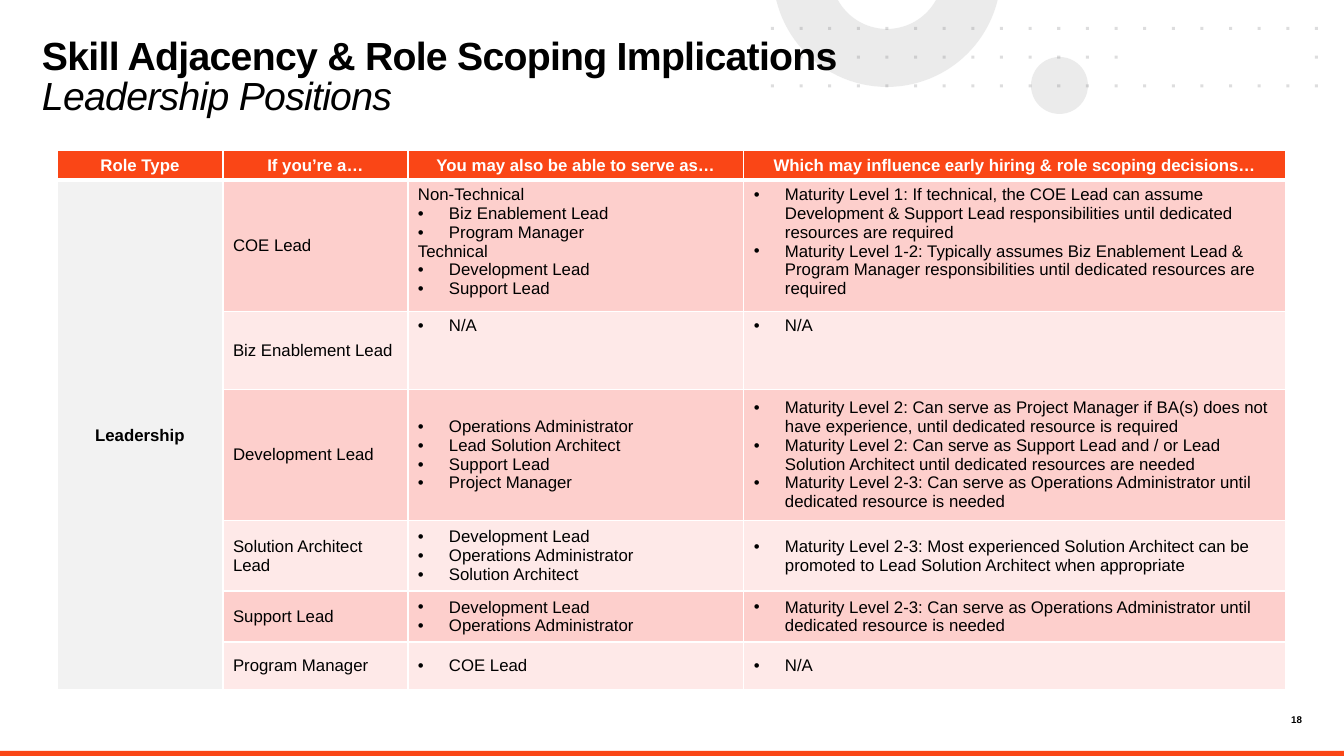
"""Build the leadership skill adjacency slide."""
from math import asin, cos, pi, sin

from lxml.etree import SubElement
from pptx import Presentation
from pptx.dml.color import RGBColor
from pptx.enum.shapes import MSO_SHAPE
from pptx.enum.text import MSO_ANCHOR, MSO_AUTO_SIZE, PP_ALIGN
from pptx.oxml.ns import qn
from pptx.util import Pt

TITLE = "Skill Adjacency & Role Scoping Implications"
SUBTITLE = "Leadership Positions"
PAGE_NUMBER = "18"
GROUP = "Leadership"
HEADERS = [
    "Role Type",
    "If you’re a…",
    "You may also be able to serve as…",
    "Which may influence early hiring & role scoping decisions…",
]
SUBHEADS = {"Non-Technical", "Technical"}
ROLES = [
    ("COE Lead",
     ["Non-Technical", "Biz Enablement Lead", "Program Manager",
      "Technical", "Development Lead", "Support Lead"],
     ["Maturity Level 1: If technical, the COE Lead can assume Development & Support Lead "
      "responsibilities until dedicated resources are required",
      "Maturity Level 1-2: Typically assumes Biz Enablement Lead & Program Manager "
      "responsibilities until dedicated resources are required"]),
    ("Biz Enablement Lead", ["N/A"], ["N/A"]),
    ("Development Lead",
     ["Operations Administrator", "Lead Solution Architect", "Support Lead", "Project Manager"],
     ["Maturity Level 2: Can serve as Project Manager if BA(s) does not have experience, "
      "until dedicated resource is required",
      "Maturity Level 2: Can serve as Support Lead and / or Lead Solution Architect "
      "until dedicated resources are needed",
      "Maturity Level 2-3: Can serve as Operations Administrator until dedicated "
      "resource is needed"]),
    ("Solution Architect Lead",
     ["Development Lead", "Operations Administrator", "Solution Architect"],
     ["Maturity Level 2-3: Most experienced Solution Architect can be promoted to "
      "Lead Solution Architect when appropriate"]),
    ("Support Lead",
     ["Development Lead", "Operations Administrator"],
     ["Maturity Level 2-3: Can serve as Operations Administrator until dedicated "
      "resource is needed"]),
    ("Program Manager", ["COE Lead"], ["N/A"]),
]
TOP_ANCHORED = {"COE Lead", "Biz Enablement Lead"}
COLUMN_WIDTHS = [166, 185, 336, 542]
ROW_HEIGHTS = [30, 131, 78, 131, 70, 51, 48]

FONT = "Arial"
BLACK = RGBColor(0x00, 0x00, 0x00)
WHITE = RGBColor(0xFF, 0xFF, 0xFF)
ORANGE = RGBColor(0xFA, 0x46, 0x16)
PALE_GRAY = RGBColor(0xF2, 0xF2, 0xF2)
RING_GRAY = RGBColor(0xD9, 0xD9, 0xD9)
DOT_GRAY = RGBColor(0x58, 0x59, 0x5B)
BANDS = [RGBColor(0xFD, 0xCF, 0xCC), RGBColor(0xFE, 0xE9, 0xE8)]

WIDTH, HEIGHT = 1344, 756
INDENT = 31
RING_CENTER, RING_OUTER, RING_INNER = (887, -27), 114, 56
DOT_LEFT, DOT_TOP, DOT_SPAN, DOT_COLUMNS, DOT_ROWS, DOT_SIZE = 771, 27, 544, 20, 3, 3
DOT_GAPS = {(1, column) for column in range(13, 19)}


def px(length):
    return round(length * 12192000 / WIDTH)


def paint(shape, color, opacity=100):
    shape.shadow.inherit = False
    shape.fill.solid()
    shape.fill.fore_color.rgb = color
    shape.line.fill.background()
    if opacity < 100:
        color_element = shape.element.spPr.find(qn("a:solidFill"))[0]
        SubElement(color_element, qn("a:alpha"), val=str(opacity * 1000))


def add_outline(slide, contours, color, opacity):
    contours = [[(px(x), px(y)) for x, y in contour] for contour in contours]
    builder = slide.shapes.build_freeform(*contours[0][0], scale=1.0)
    for index, contour in enumerate(contours):
        if index:
            builder.move_to(*contour[0])
        builder.add_line_segments(contour[1:], close=True)
    paint(builder.convert_to_shape(), color, opacity)


def ring_arc(radius, steps=48):
    center_x, center_y = RING_CENTER
    start = asin(-center_y / radius)
    angles = [start + (pi - 2 * start) * step / steps for step in range(steps + 1)]
    return [(center_x + radius * cos(angle), center_y + radius * sin(angle)) for angle in angles]


def add_decoration(slide):
    bar = slide.shapes.add_shape(MSO_SHAPE.RECTANGLE, 0, px(751), px(WIDTH), px(HEIGHT - 751))
    paint(bar, ORANGE)
    disc = slide.shapes.add_shape(MSO_SHAPE.OVAL, px(1031), px(57), px(57), px(57))
    paint(disc, RING_GRAY, 50)
    add_outline(slide, [ring_arc(RING_OUTER) + ring_arc(RING_INNER)[::-1]], RING_GRAY, 50)
    pitch = DOT_SPAN / (DOT_COLUMNS - 1)
    dots = []
    for row in range(DOT_ROWS):
        for column in range(DOT_COLUMNS):
            if (row, column) not in DOT_GAPS:
                x, y = DOT_LEFT + column * pitch, DOT_TOP + row * pitch
                right, bottom = x + DOT_SIZE, y + DOT_SIZE
                dots.append([(x, y), (right, y), (right, bottom), (x, bottom)])
    add_outline(slide, dots, DOT_GRAY, 20)


def add_run(paragraph, text, size, color=BLACK, bold=False, italic=False):
    run = paragraph.add_run()
    run.text = text
    font = run.font
    font.name, font.size, font.bold, font.italic = FONT, Pt(size), bold, italic
    font.color.rgb = color
    return run


def clear_margins(frame):
    frame.margin_left = frame.margin_right = frame.margin_top = frame.margin_bottom = 0
    frame.word_wrap = True


def add_title(slide):
    title = slide.shapes.title
    title.left, title.top, title.width, title.height = px(42), px(39), px(824), px(76)
    frame = title.text_frame
    clear_margins(frame)
    frame.auto_size = MSO_AUTO_SIZE.NONE
    frame.vertical_anchor = MSO_ANCHOR.TOP
    paragraph = frame.paragraphs[0]
    paragraph.alignment = PP_ALIGN.LEFT
    paragraph.line_spacing = 0.85
    heading = add_run(paragraph, TITLE, 28, bold=True)
    paragraph.add_line_break()
    subheading = add_run(paragraph, SUBTITLE, 28, italic=True)
    for run in (heading, subheading):
        run.font._element.set("spc", "-50")
    title.element.getparent().append(title.element)


def add_page_number(slide):
    box = slide.shapes.add_textbox(px(1263), px(714), px(39), px(13))
    clear_margins(box.text_frame)
    paragraph = box.text_frame.paragraphs[0]
    paragraph.alignment = PP_ALIGN.RIGHT
    add_run(paragraph, PAGE_NUMBER, 7, bold=True)


def style_cell(cell, fill, top=1, bottom=1):
    properties = cell._tc.get_or_add_tcPr()
    for side, width in (("L", 1), ("R", 1), ("T", top), ("B", bottom)):
        line = SubElement(properties, qn(f"a:ln{side}"), w=str(Pt(width)))
        SubElement(SubElement(line, qn("a:solidFill")), qn("a:srgbClr"), val=str(WHITE))
    cell.fill.solid()
    cell.fill.fore_color.rgb = fill
    cell.vertical_anchor = MSO_ANCHOR.MIDDLE


def write_label(cell, text, color=BLACK, bold=False, alignment=PP_ALIGN.LEFT):
    paragraph = cell.text_frame.paragraphs[0]
    paragraph.alignment = alignment
    add_run(paragraph, text, 12, color, bold)


def write_list(cell, items):
    for index, item in enumerate(items):
        frame = cell.text_frame
        paragraph = frame.add_paragraph() if index else frame.paragraphs[0]
        if item not in SUBHEADS:
            properties = paragraph._p.get_or_add_pPr()
            properties.set("marL", str(px(INDENT)))
            properties.set("indent", str(-px(INDENT)))
            SubElement(properties, qn("a:buFont"), typeface=FONT)
            SubElement(properties, qn("a:buChar"), char="•")
        add_run(paragraph, item, 12)


def add_role_table(slide):
    table = slide.shapes.add_table(len(ROW_HEIGHTS), len(COLUMN_WIDTHS), px(57), px(150),
                                   px(sum(COLUMN_WIDTHS)), px(sum(ROW_HEIGHTS))).table
    table.first_row = table.horz_banding = False
    for column, width in zip(table.columns, COLUMN_WIDTHS):
        column.width = px(width)
    for row, height in zip(table.rows, ROW_HEIGHTS):
        row.height = px(height)
    for column, header in enumerate(HEADERS):
        style_cell(table.cell(0, column), ORANGE, bottom=3)
        write_label(table.cell(0, column), header, WHITE, True, PP_ALIGN.CENTER)
    for row, (role, alternatives, implications) in enumerate(ROLES, 1):
        cells = [table.cell(row, column) for column in range(len(HEADERS))]
        for column, cell in enumerate(cells):
            fill = BANDS[(row - 1) % 2] if column else PALE_GRAY
            style_cell(cell, fill, top=3 if row == 1 else 1)
        write_label(cells[1], role)
        for cell, items in zip(cells[2:], (alternatives, implications)):
            write_list(cell, items)
            if role in TOP_ANCHORED:
                cell.vertical_anchor = MSO_ANCHOR.TOP
    table.cell(1, 0).merge(table.cell(len(ROLES), 0))
    write_label(table.cell(1, 0), GROUP, bold=True, alignment=PP_ALIGN.CENTER)


def main():
    presentation = Presentation()
    presentation.slide_width, presentation.slide_height = px(WIDTH), px(HEIGHT)
    slide = presentation.slides.add_slide(presentation.slide_layouts[5])
    add_decoration(slide)
    add_page_number(slide)
    add_role_table(slide)
    add_title(slide)
    presentation.save("out.pptx")


if __name__ == "__main__":
    main()
